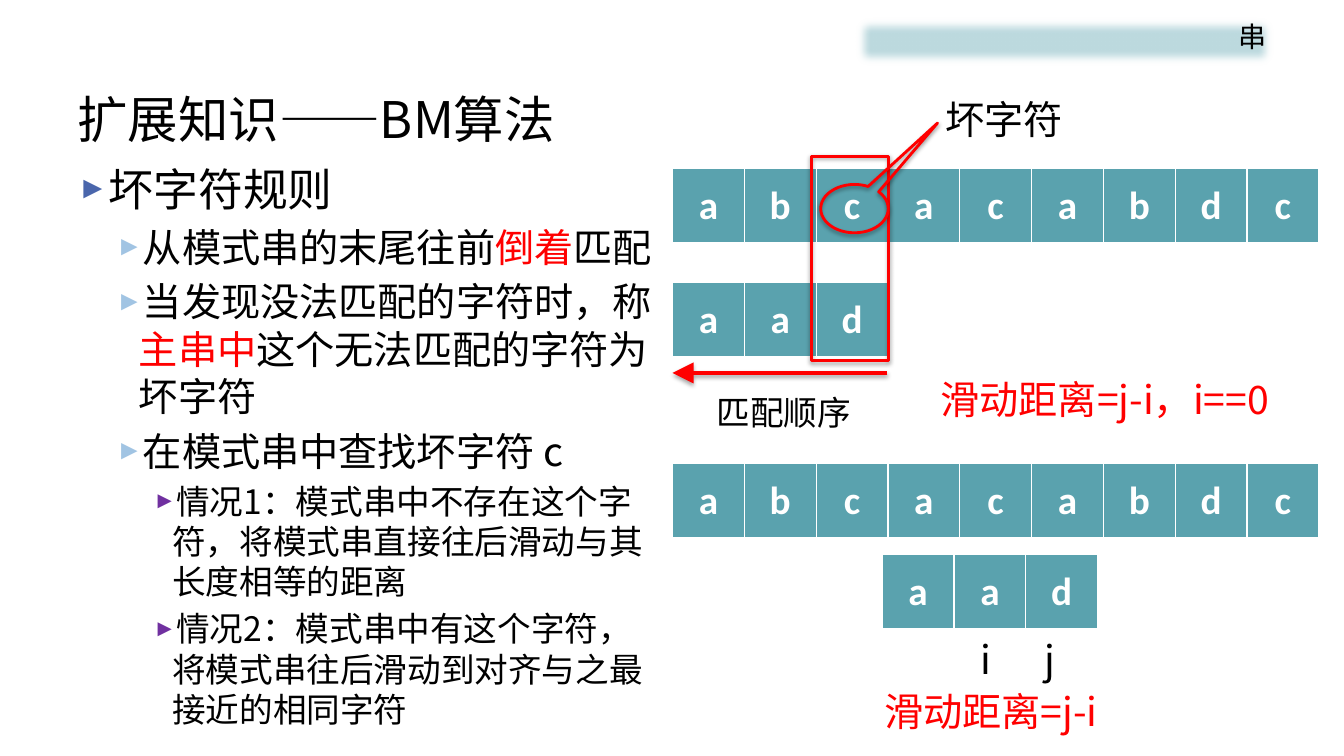
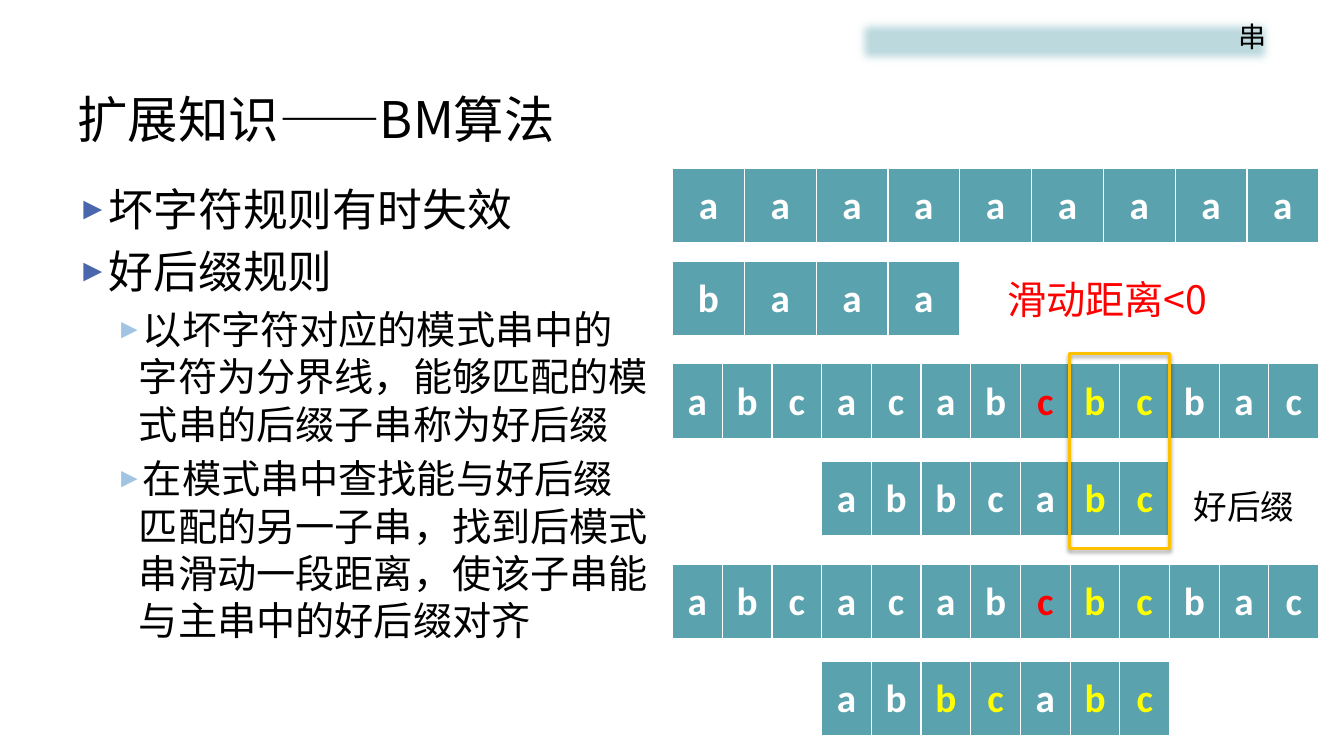
"""Build two slides on the bad-character and good-suffix rules of the BM algorithm."""
from dataclasses import dataclass

from lxml import etree
from pptx import Presentation, util as u
from pptx.dml.color import RGBColor
from pptx.enum import shapes, text
from pptx.oxml import ns


@dataclass(frozen=True)
class Theme:
    black: str = "000000"
    white: str = "FFFFFF"
    red: str = "FF0000"
    yellow: str = "FFFF00"
    amber: str = "FFC000"
    cell: str = "5AA2AE"
    band: str = "BDDADF"
    main_font: str = "Noto Sans CJK SC"
    cell_font: str = "Calibri"
    band_font: str = "Arial"
    title_size: int = 36
    label_size: int = 28
    note_size: int = 24
    band_size: int = 20


THEME = Theme()
MARKS = {".": THEME.white, "r": THEME.red, "y": THEME.yellow}
ROW_LEFT, ROW_WIDTH, ROW_HEIGHT = 6.67, 6.41, 0.75
WIDE, NARROW = ROW_WIDTH / 9, ROW_WIDTH / 13
SHIFTED = ROW_LEFT + 3 * NARROW


@dataclass(frozen=True)
class Level:
    size: int
    indent: float
    hanging: float
    bullet_color: str


LEVELS = (
    Level(32, 0.28, 0.28, "4A66AC"),
    Level(28, 0.61, 0.23, "A1C4E3"),
    Level(24, 0.94, 0.19, "7030A0"),
)


@dataclass(frozen=True)
class Bullet:
    level: int
    before: str
    emphasis: str = ""
    after: str = ""


@dataclass(frozen=True)
class LetterRow:
    letters: str
    top: float
    left: float = ROW_LEFT
    cell_width: float = WIDE
    marks: str = ""


@dataclass(frozen=True)
class Label:
    words: str
    left: float
    top: float
    width: float
    size: int = THEME.label_size
    color: str = THEME.black


@dataclass(frozen=True)
class Outline:
    left: float
    top: float
    width: float
    height: float
    color: str
    preset: shapes.MSO_SHAPE = shapes.MSO_SHAPE.RECTANGLE
    adjustments: tuple[float, ...] = ()


@dataclass(frozen=True)
class Page:
    body: tuple[float, float, float, float]
    bullets: tuple[Bullet, ...]
    rows: tuple[LetterRow, ...]
    labels: tuple[Label, ...]
    outlines: tuple[Outline, ...]
    arrow: tuple[float, float, float] | None = None


def add_xml(parent, tag: str, **attributes: str):
    """Append a DrawingML element and return it."""
    return etree.SubElement(parent, ns.qn(tag), attributes)


def style(paragraph, size: int, color: str, name: str = THEME.main_font, bold: bool = False) -> None:
    """Set the paragraph font for Latin and East Asian text."""
    font = paragraph.font
    font.size, font.name, font.bold = u.Pt(size), name, bold
    font.color.rgb = RGBColor.from_string(color)
    defaults = paragraph._p.get_or_add_pPr().get_or_add_defRPr()
    add_xml(defaults, "a:ea", typeface=name)


def add_effect(properties, tag: str, **attributes: str):
    """Put one effect into the effect list of a shape or connector."""
    effects = properties.find(ns.qn("a:effectLst"))
    if effects is None:
        effects = add_xml(properties, "a:effectLst")
    return add_xml(effects, tag, **attributes)


def add_shadow(properties, distance: int, opacity: int) -> None:
    """Add a soft shadow that falls straight down."""
    shadow = add_effect(properties, "a:outerShdw", blurRad="40000", dist=str(distance),
                        dir="5400000", rotWithShape="0")
    color = add_xml(shadow, "a:srgbClr", val=THEME.black)
    add_xml(color, "a:alpha", val=str(opacity * 1000))


def add_text_box(slide, left: float, top: float, width: float, height: float):
    """Add a wrapping text box and return its text frame."""
    box = slide.shapes.add_textbox(u.Inches(left), u.Inches(top), u.Inches(width), u.Inches(height))
    box.text_frame.word_wrap = True
    return box.text_frame


def add_header(slide) -> None:
    """Draw the title and the blurred band that every slide shares."""
    frame = add_text_box(slide, 0.67, 0.8, 12, 0.75)
    frame.vertical_anchor = text.MSO_ANCHOR.MIDDLE
    frame.text = "扩展知识——BM算法"
    style(frame.paragraphs[0], THEME.title_size, THEME.black)

    band = slide.shapes.add_shape(shapes.MSO_SHAPE.RECTANGLE, u.Inches(8.46), u.Inches(0.14),
                                  u.Inches(4.2), u.Inches(0.54))
    band.fill.solid()
    band.fill.fore_color.rgb = RGBColor.from_string(THEME.band)
    band.line.fill.background()
    band.shadow.inherit = False
    add_effect(band._element.spPr, "a:softEdge", rad="90000")
    band.text_frame.vertical_anchor = text.MSO_ANCHOR.TOP
    band.text_frame.text = "串"
    paragraph = band.text_frame.paragraphs[0]
    paragraph.alignment = text.PP_ALIGN.RIGHT
    style(paragraph, THEME.band_size, THEME.black, THEME.band_font)


def add_bullets(slide, place: tuple[float, float, float, float], bullets: tuple[Bullet, ...]) -> None:
    """Write the bulleted text on the left."""
    frame = add_text_box(slide, *place)
    for index, bullet in enumerate(bullets):
        paragraph = frame.add_paragraph() if index else frame.paragraphs[0]
        level = LEVELS[bullet.level]
        paragraph.level = bullet.level
        paragraph.space_before = u.Pt(level.size * 0.2)
        properties = paragraph._p.get_or_add_pPr()
        properties.set("marL", str(u.Inches(level.indent)))
        properties.set("indent", str(-u.Inches(level.hanging)))
        add_xml(add_xml(properties, "a:buClr"), "a:srgbClr", val=level.bullet_color)
        add_xml(properties, "a:buSzPct", val="70000")
        add_xml(properties, "a:buFont", typeface=THEME.band_font)
        add_xml(properties, "a:buChar", char="►")
        style(paragraph, level.size, THEME.black)
        for words in filter(None, (bullet.before, bullet.emphasis, bullet.after)):
            run = paragraph.add_run()
            run.text = words
            if words == bullet.emphasis:
                run.font.color.rgb = RGBColor.from_string(THEME.red)


def add_borders(cell) -> None:
    """Give a cell white borders, with a heavier one below."""
    properties = cell._tc.get_or_add_tcPr()
    for position, (side, points) in enumerate((("L", 1), ("R", 1), ("T", 1), ("B", 3))):
        line = add_xml(properties, f"a:ln{side}", w=str(u.Pt(points)))
        add_xml(add_xml(line, "a:solidFill"), "a:srgbClr", val=THEME.white)
        properties.insert(position, line)


def add_letter_row(slide, row: LetterRow) -> None:
    """Draw a string as a one-row table with a letter in each cell."""
    count = len(row.letters)
    table = slide.shapes.add_table(1, count, u.Inches(row.left), u.Inches(row.top),
                                   u.Inches(count * row.cell_width), u.Inches(ROW_HEIGHT)).table
    table.first_row = table.horz_banding = False
    for column in table.columns:
        column.width = u.Inches(row.cell_width)
    for cell, letter, mark in zip(table.iter_cells(), row.letters, row.marks or "." * count):
        cell.fill.solid()
        cell.fill.fore_color.rgb = RGBColor.from_string(THEME.cell)
        cell.vertical_anchor = text.MSO_ANCHOR.MIDDLE
        cell.text = letter
        paragraph = cell.text_frame.paragraphs[0]
        paragraph.alignment = text.PP_ALIGN.CENTER
        style(paragraph, THEME.label_size, MARKS[mark], THEME.cell_font, bold=True)
        add_borders(cell)


def add_label(slide, label: Label) -> None:
    """Write a free-standing label."""
    frame = add_text_box(slide, label.left, label.top, label.width, label.size / 50)
    frame.text = label.words
    style(frame.paragraphs[0], label.size, label.color)


def add_outline(slide, outline: Outline) -> None:
    """Draw an unfilled shape around some letters."""
    shape = slide.shapes.add_shape(outline.preset, u.Inches(outline.left), u.Inches(outline.top),
                                   u.Inches(outline.width), u.Inches(outline.height))
    for index, value in enumerate(outline.adjustments):
        shape.adjustments[index] = value
    shape.fill.background()
    shape.line.color.rgb = RGBColor.from_string(outline.color)
    shape.line.width = u.Pt(2)
    shape.shadow.inherit = False
    add_shadow(shape._element.spPr, 20000, 38)


def add_arrow(slide, start: float, end: float, top: float) -> None:
    """Draw the horizontal arrow of the matching order."""
    arrow = slide.shapes.add_connector(shapes.MSO_CONNECTOR.STRAIGHT, u.Inches(start), u.Inches(top),
                                       u.Inches(end), u.Inches(top))
    arrow.line.color.rgb = RGBColor.from_string(THEME.red)
    arrow.line.width = u.Pt(3)
    add_xml(arrow.line._get_or_add_ln(), "a:tailEnd", type="triangle", w="lg", len="lg")
    add_shadow(arrow._element.spPr, 23000, 35)


BAD_CHARACTER = Page(
    body=(0.67, 1.55, 5.91, 5.85),
    bullets=(
        Bullet(0, "坏字符规则"),
        Bullet(1, "从模式串的末尾往前", "倒着", "匹配"),
        Bullet(1, "当发现没法匹配的字符时，称", "主串中", "这个无法匹配的字符为坏字符"),
        Bullet(1, "在模式串中查找坏字符 c"),
        Bullet(2, "情况1：模式串中不存在这个字符，将模式串直接往后滑动与其长度相等的距离"),
        Bullet(2, "情况2：模式串中有这个字符，将模式串往后滑动到对齐与之最接近的相同字符"),
    ),
    rows=(
        LetterRow("abcacabdc", 1.67),
        LetterRow("aad", 2.8),
        LetterRow("abcacabdc", 4.6),
        LetterRow("aad", 5.5, 8.75),
    ),
    labels=(
        Label("匹配顺序", 7.01, 3.84, 2.14, THEME.note_size),
        Label("坏字符", 9.28, 0.9, 1.81),
        Label("j", 10.26, 6.25, 0.51),
        Label("i", 9.63, 6.25, 0.51),
        Label("滑动距离=j-i", 8.67, 6.77, 3.79, color=THEME.red),
        Label("滑动距离=j-i，i==0", 9.23, 3.67, 3.79, color=THEME.red),
    ),
    outlines=(
        Outline(8.05, 1.55, 0.76, 2.03, THEME.red),
        Outline(8.14, 1.83, 0.67, 0.48, THEME.red, shapes.MSO_SHAPE.OVAL_CALLOUT, (1.23, -1.77)),
    ),
    arrow=(8.8, ROW_LEFT, 3.7),
)

GOOD_SUFFIX = Page(
    body=(0.67, 1.75, 5.88, 5.44),
    bullets=(
        Bullet(0, "坏字符规则有时失效"),
        Bullet(0, "好后缀规则"),
        Bullet(1, "以坏字符对应的模式串中的字符为分界线，能够匹配的模式串的后缀子串称为好后缀"),
        Bullet(1, "在模式串中查找能与好后缀匹配的另一子串，找到后模式串滑动一段距离，使该子串能与主串中的好后缀对齐"),
    ),
    rows=(
        LetterRow("aaaaaaaaa", 1.67),
        LetterRow("baaa", 2.59),
        LetterRow("abcacabcbcbac", 3.61, ROW_LEFT, NARROW, ".......ryy..."),
        LetterRow("abbcabc", 4.58, SHIFTED, NARROW, ".....yy"),
        LetterRow("abcacabcbcbac", 5.6, ROW_LEFT, NARROW, ".......ryy..."),
        LetterRow("abbcabc", 6.56, SHIFTED, NARROW, "..yy.yy"),
    ),
    labels=(
        Label("滑动距离<0", 9.89, 2.68, 2.61, color=THEME.red),
        Label("好后缀", 11.74, 4.77, 1.68, THEME.note_size),
    ),
    outlines=(Outline(10.61, 3.51, 0.99, 1.93, THEME.amber),),
)


def main() -> None:
    """Build both slides and save the presentation."""
    presentation = Presentation()
    presentation.slide_width, presentation.slide_height = u.Inches(13.33), u.Inches(7.5)
    for page in (BAD_CHARACTER, GOOD_SUFFIX):
        slide = presentation.slides.add_slide(presentation.slide_layouts[6])
        add_header(slide)
        add_bullets(slide, page.body, page.bullets)
        for row in page.rows:
            add_letter_row(slide, row)
        for label in page.labels:
            add_label(slide, label)
        if page.arrow:
            add_arrow(slide, *page.arrow)
        for outline in page.outlines:
            add_outline(slide, outline)
    presentation.save("out.pptx")


if __name__ == "__main__":
    main()
